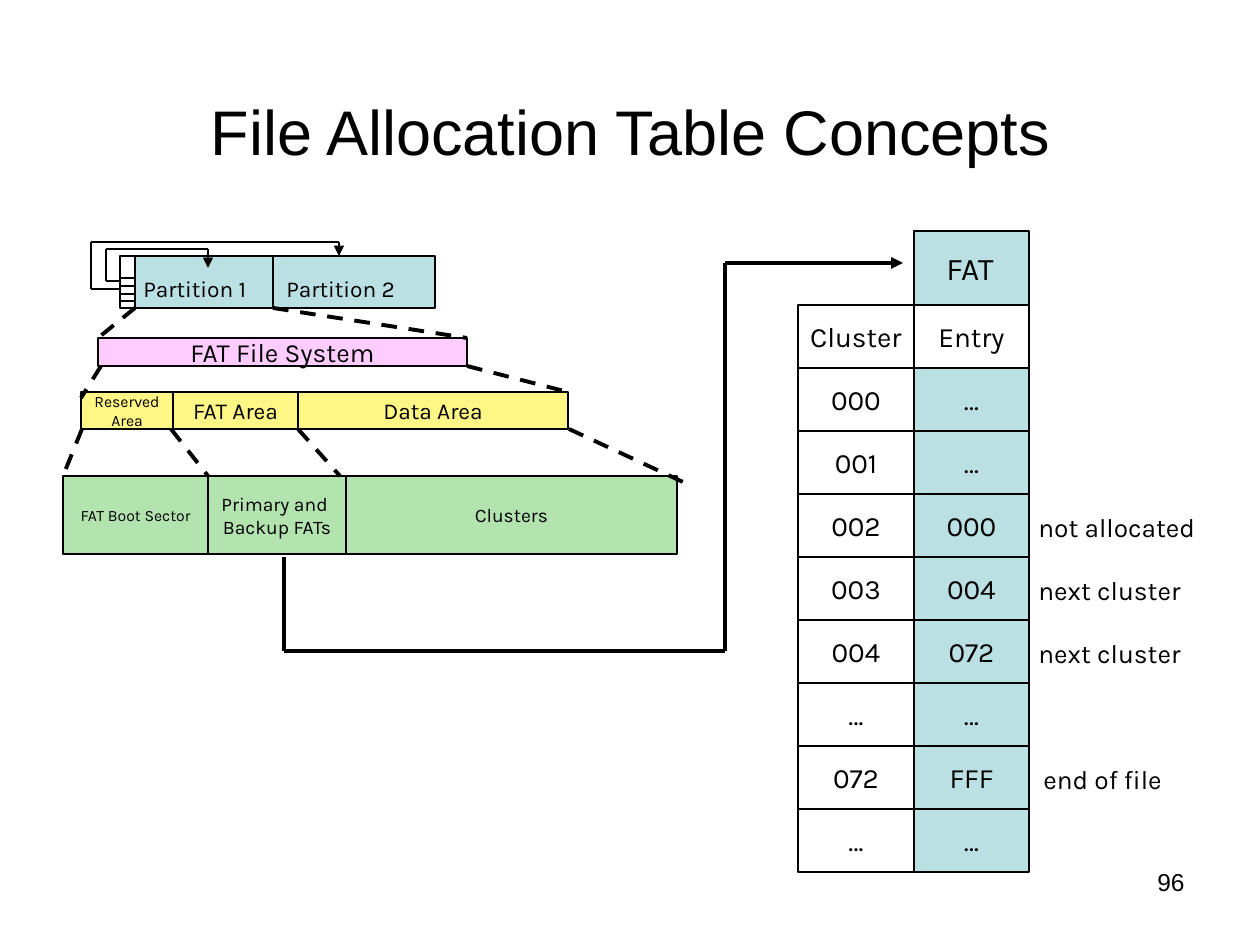
from itertools import pairwise

from lxml import etree
from pptx import Presentation
from pptx.dml.color import RGBColor
from pptx.enum.dml import MSO_LINE
from pptx.enum.shapes import MSO_CONNECTOR, MSO_SHAPE
from pptx.enum.text import MSO_ANCHOR, MSO_AUTO_SIZE, PP_ALIGN
from pptx.oxml.ns import qn
from pptx.util import Emu, Pt

RECTANGLE = MSO_SHAPE.RECTANGLE
STRAIGHT = MSO_CONNECTOR.STRAIGHT
DASH = MSO_LINE.DASH
LEFT, CENTER, RIGHT = PP_ALIGN.LEFT, PP_ALIGN.CENTER, PP_ALIGN.RIGHT
TOP, MIDDLE = MSO_ANCHOR.TOP, MSO_ANCHOR.MIDDLE
FIT_SHAPE = MSO_AUTO_SIZE.SHAPE_TO_FIT_TEXT

EMU_PER_PX = 914400 / 126
BODY_FONT, TITLE_FONT = "Karla", "Arial"
COLORS = {
    "ink": "000000",
    "blue": "BBE0E3",
    "pink": "FFCCFF",
    "yellow": "FFF685",
    "green": "B3E3AF",
}
THIN, THICK = 0.75, 2.25

FAT_ROWS = [
    ("000", "…", ""),
    ("001", "…", ""),
    ("002", "000", "not allocated"),
    ("003", "004", "next cluster"),
    ("004", "072", "next cluster"),
    ("…", "…", ""),
    ("072", "FFF", "end of file"),
    ("…", "…", ""),
]


def px(*lengths):
    return [Emu(round(length * EMU_PER_PX)) for length in lengths]


def color(name):
    return RGBColor.from_string(COLORS[name])


def write(shape, text, size, align, anchor, font=BODY_FONT, spacing=1.02, wrap=False):
    frame = shape.text_frame
    frame.text = text
    frame.word_wrap = wrap
    frame.vertical_anchor = anchor
    for paragraph in frame.paragraphs:
        paragraph.alignment = align
        paragraph.line_spacing = spacing
        paragraph.font.name = font
        paragraph.font.size = Pt(size)
        paragraph.font.color.rgb = color("ink")


def add_block(slide, box, fill=None, text="", size=16):
    block = slide.shapes.add_shape(RECTANGLE, *px(*box))
    block.shadow.inherit = False
    if fill:
        block.fill.solid()
        block.fill.fore_color.rgb = color(fill)
    else:
        block.fill.background()
    block.line.color.rgb = color("ink")
    block.line.width = Pt(THIN)
    if text:
        write(block, text, size, CENTER, MIDDLE)


def add_label(slide, box, text, size):
    label = slide.shapes.add_textbox(*px(*box))
    write(label, text, size, LEFT, TOP)
    label.text_frame.auto_size = FIT_SHAPE


def add_heading(slide, box, text, size, align, anchor):
    heading = slide.shapes.add_textbox(*px(*box))
    write(heading, text, size, align, anchor, TITLE_FONT, 1, True)


def add_line(slide, start, end, width=THIN, dashed=False, arrow=False):
    line = slide.shapes.add_connector(STRAIGHT, *px(*start, *end))
    line.line.color.rgb = color("ink")
    line.line.width = Pt(width)
    if dashed:
        line.line.dash_style = DASH
    if arrow:
        etree.SubElement(line.line._get_or_add_ln(), qn("a:tailEnd"), type="triangle")
    etree.SubElement(line._element.spPr, qn("a:effectLst"))


def add_arrow_route(slide, points, width=THIN):
    legs = list(pairwise(points))
    for start, end in legs:
        add_line(slide, start, end, width, arrow=end == points[-1])


def add_row_of_blocks(slide, left, top, height, fill, blocks):
    for width, text, size in blocks:
        add_block(slide, (left, top, width, height), fill, text, size)
        left += width


def add_disk(slide):
    add_block(slide, (135, 256, 300, 52), "blue")
    add_block(slide, (120, 256, 15, 52))
    for y in (278, 286, 294, 301):
        add_line(slide, (120, y), (135, y))
    add_line(slide, (273, 256), (273, 308))
    add_arrow_route(slide, [(120, 281), (106, 281), (106, 249), (208, 249), (208, 268)])
    add_arrow_route(slide, [(120, 289), (91, 289), (91, 242), (339, 242), (339, 256)])
    add_label(slide, (131, 268, 136, 39), "Partition 1", 13)
    add_label(slide, (274, 268, 136, 39), "Partition 2", 13)


def add_file_system(slide):
    add_block(slide, (98, 338, 369, 28), "pink", "FAT File System", 15)
    add_row_of_blocks(slide, 81, 392, 37, "yellow", [
        (92, "Reserved\nArea", 9),
        (125, "FAT Area", 13),
        (270, "Data Area", 13),
    ])
    add_row_of_blocks(slide, 63, 476, 78, "green", [
        (145, "FAT Boot Sector", 9),
        (138, "Primary and \nBackup FATs", 11),
        (331, "Clusters", 11),
    ])


def add_zoom_lines(slide):
    for start, end in [
        ((135, 308), (98, 338)),
        ((273, 308), (467, 338)),
        ((101, 366), (81, 398)),
        ((467, 366), (568, 392)),
        ((82, 429), (63, 476)),
        ((171, 429), (208, 476)),
        ((298, 429), (340, 476)),
        ((569, 429), (683, 482)),
    ]:
        add_line(slide, start, end, THICK, dashed=True)


def add_fat(slide):
    cluster_left, entry_left, top = 798, 914, 305
    cluster_width, entry_width, height = 116, 115, 63
    add_block(slide, (entry_left, 231, entry_width, 74), "blue")
    add_label(slide, (934, 242, 83, 50), "FAT", 18)
    for row, (cluster, entry, note) in enumerate([("Cluster", "Entry", ""), *FAT_ROWS]):
        y = top + row * height
        add_block(slide, (cluster_left, y, cluster_width, height), None, cluster)
        add_block(slide, (entry_left, y, entry_width, height), "blue" if row else None, entry)
        if note:
            note_left, note_width = {
                "not allocated": (1026, 184),
                "next cluster": (1026, 170),
                "end of file": (1031, 147),
            }[note]
            add_label(slide, (note_left, y + 10, note_width, 44), note, 15)


def main():
    """Build the File Allocation Table slide and save it."""
    deck = Presentation()
    deck.slide_width, deck.slide_height = px(1260, 945)
    slide = deck.slides.add_slide(deck.slide_layouts[6])
    add_heading(slide, (95, 87, 1071, 87), "File Allocation Table Concepts", 36, CENTER, MIDDLE)
    add_disk(slide)
    add_file_system(slide)
    add_zoom_lines(slide)
    add_fat(slide)
    add_arrow_route(slide, [(284, 557), (284, 651), (725, 651), (725, 263), (903, 263)], THICK)
    add_heading(slide, (903, 861, 294, 66), "96", 14, RIGHT, TOP)
    deck.save("out.pptx")


if __name__ == "__main__":
    main()
